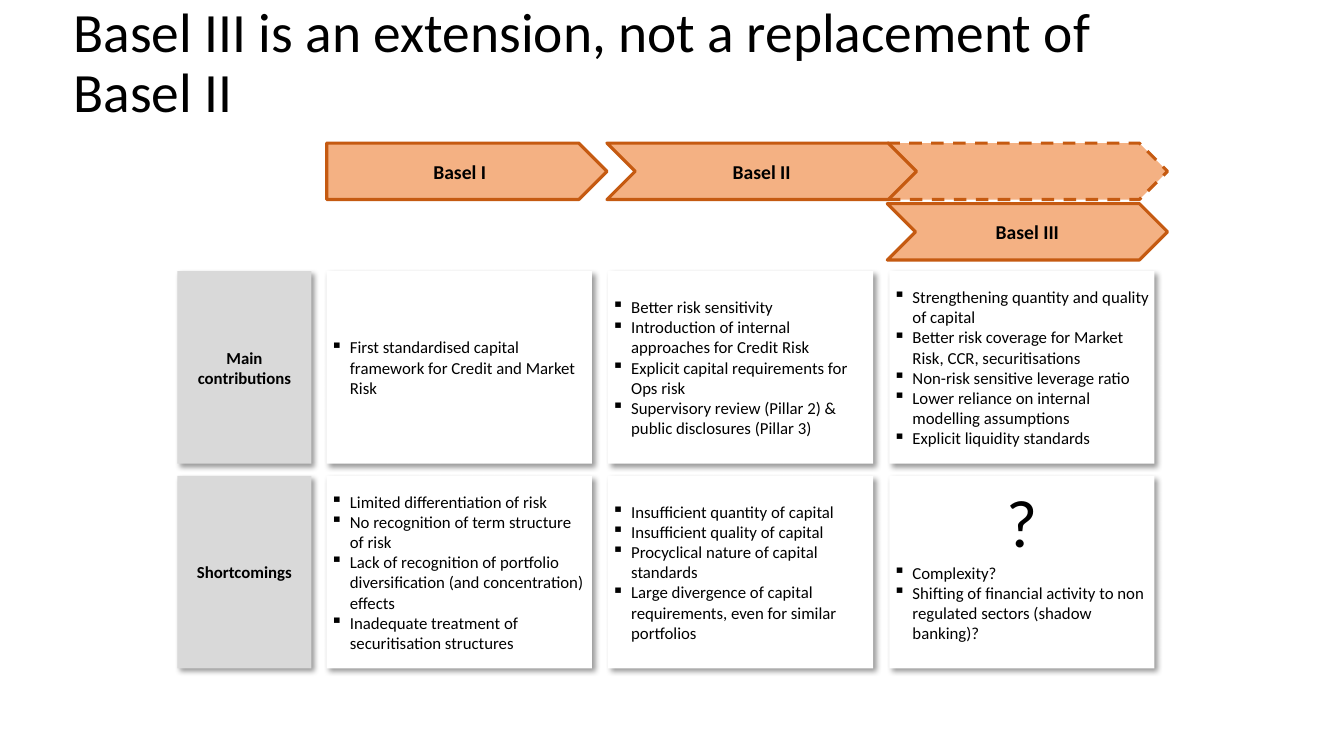
import pptx
import pptx.dml.color
import pptx.enum.dml
import pptx.enum.shapes
import pptx.enum.text
import pptx.oxml.ns
import pptx.util
from lxml import etree

PX = 9144  # EMU per px, 100 px to the inch
FONT = "Calibri"
COLORS = {"text": "000000", "arrow": "F4B183", "arrow_line": "C55A11",
          "label": "D9D9D9", "card": "FFFFFF", "shadow": "000000"}
SHAPE = pptx.enum.shapes.MSO_SHAPE
ALIGN = pptx.enum.text.PP_ALIGN
ANCHOR = pptx.enum.text.MSO_ANCHOR

CONTRIBUTIONS = [
    ["First standardised capital framework for Credit and Market Risk"],
    ["Better risk sensitivity",
     "Introduction of internal approaches for Credit Risk",
     "Explicit capital requirements for Ops risk",
     "Supervisory review (Pillar 2) & public disclosures (Pillar 3)"],
    ["Strengthening quantity and quality of capital",
     "Better risk coverage for Market Risk, CCR, securitisations",
     "Non-risk sensitive leverage ratio",
     "Lower reliance on internal modelling assumptions",
     "Explicit liquidity standards"],
]
SHORTCOMINGS = [
    ["Limited differentiation of risk",
     "No recognition of term structure of risk",
     "Lack of recognition of portfolio diversification (and concentration) effects",
     "Inadequate treatment of securitisation structures"],
    ["Insufficient quantity of capital",
     "Insufficient quality of capital",
     "Procyclical nature of capital standards",
     "Large divergence of capital requirements, even for similar portfolios"],
]
OPEN_QUESTIONS = ["Complexity?",
                  "Shifting of financial activity to non regulated sectors (shadow banking)?"]


def rgb(name):
    return pptx.dml.color.RGBColor.from_string(COLORS[name])


def px(*lengths):
    return [pptx.util.Emu(n * PX) for n in lengths]


def add_sub(parent, tag, **attributes):
    return etree.SubElement(parent, pptx.oxml.ns.qn(tag), attributes)


def write(sp, lines, size, bold=False, align=ALIGN.LEFT, anchor=ANCHOR.MIDDLE,
          inset=10, bullets=False):
    tf = sp.text_frame
    tf.word_wrap = True
    tf.vertical_anchor = anchor
    tf.margin_left, tf.margin_right, tf.margin_top, tf.margin_bottom = px(inset, inset, 5, 5)
    tf.text = "\n".join(lines)
    for p in tf.paragraphs:
        p.alignment = align
        if bullets:
            pPr = p._p.get_or_add_pPr()
            pPr.set("marL", str(19 * PX))
            pPr.set("indent", str(-19 * PX))
            add_sub(pPr, "a:buChar", char="▪")
        for r in p.runs:
            r.font.name = FONT
            r.font.size = pptx.util.Pt(size)
            r.font.bold = bold
            r.font.color.rgb = rgb("text")


def add_title(s, box):
    sp = s.shapes.add_textbox(*px(*box))
    write(sp, ["Basel III is an extension, not a replacement of Basel II"], 39.6)
    sp.text_frame.paragraphs[0].line_spacing = 0.9


def add_arrow(s, kind, box, text="", dashed=False):
    sp = s.shapes.add_shape(kind, *px(*box))
    sp.shadow.inherit = False
    sp.fill.solid()
    sp.fill.fore_color.rgb = rgb("arrow")
    sp.line.color.rgb = rgb("arrow_line")
    sp.line.width = pptx.util.Pt(2.25)
    if dashed:
        sp.line.dash_style = pptx.enum.dml.MSO_LINE.DASH
    if text:
        write(sp, [text], 14, bold=True, align=ALIGN.CENTER)


def add_timeline(s, left, top):
    width, height, row_pitch, overlap = 278, 56, 60, 29
    second, third = left + width, left + 2 * width
    add_arrow(s, SHAPE.PENTAGON, (left, top, width, height), "Basel I")
    add_arrow(s, SHAPE.CHEVRON, (third, top, width, height), dashed=True)
    add_arrow(s, SHAPE.CHEVRON, (third, top + row_pitch, width, height), "Basel III")
    add_arrow(s, SHAPE.CHEVRON, (second, top, width + overlap, height), "Basel II")


def add_card(s, box, color):
    """Add a borderless rectangle with a soft shadow to the lower right."""
    sp = s.shapes.add_shape(SHAPE.RECTANGLE, *px(*box))
    sp.fill.solid()
    sp.fill.fore_color.rgb = rgb(color)
    sp.line.fill.background()
    sp.shadow.inherit = False
    effects = sp._element.spPr.find(pptx.oxml.ns.qn("a:effectLst"))
    shadow = add_sub(effects, "a:outerShdw", blurRad="50800", dist="38100",
                     dir="2700000", algn="tl", rotWithShape="0")
    add_sub(add_sub(shadow, "a:srgbClr", val=COLORS["shadow"]), "a:alpha", val="40000")
    return sp


def add_open_card(s, box):
    """Add the question-mark card with the bullets in its lower part."""
    left, top, width, height = box
    write(add_card(s, box, "card"), ["?"], 48, align=ALIGN.CENTER,
          anchor=ANCHOR.TOP, inset=4)
    sp = s.shapes.add_textbox(*px(left, top + 81, width, height - 81))
    write(sp, OPEN_QUESTIONS, 12, anchor=ANCHOR.TOP, inset=4, bullets=True)


def add_comparison(s, left, top):
    label_width, card_width, height = 133, 263, 191
    first_card, column_pitch, row_pitch = left + 148, 279, 203
    rows = [("Main contributions", CONTRIBUTIONS), ("Shortcomings", SHORTCOMINGS)]
    for i, (label, cards) in enumerate(rows):
        y = top + i * row_pitch
        write(add_card(s, (left, y, label_width, height), "label"), [label], 12,
              bold=True, align=ALIGN.CENTER)
        for j, lines in enumerate(cards):
            box = (first_card + j * column_pitch, y, card_width, height)
            write(add_card(s, box, "card"), lines, 12, inset=4, bullets=True)
    add_open_card(s, (first_card + 2 * column_pitch, top + row_pitch, card_width, height))


def main():
    prs = pptx.Presentation()
    prs.slide_width, prs.slide_height = px(1333, 750)
    s = prs.slides.add_slide(prs.slide_layouts[6])
    add_title(s, (63, 17, 1045, 94))
    add_timeline(s, 324, 142)
    add_comparison(s, 176, 269)
    prs.save("out.pptx")


if __name__ == "__main__":
    main()
